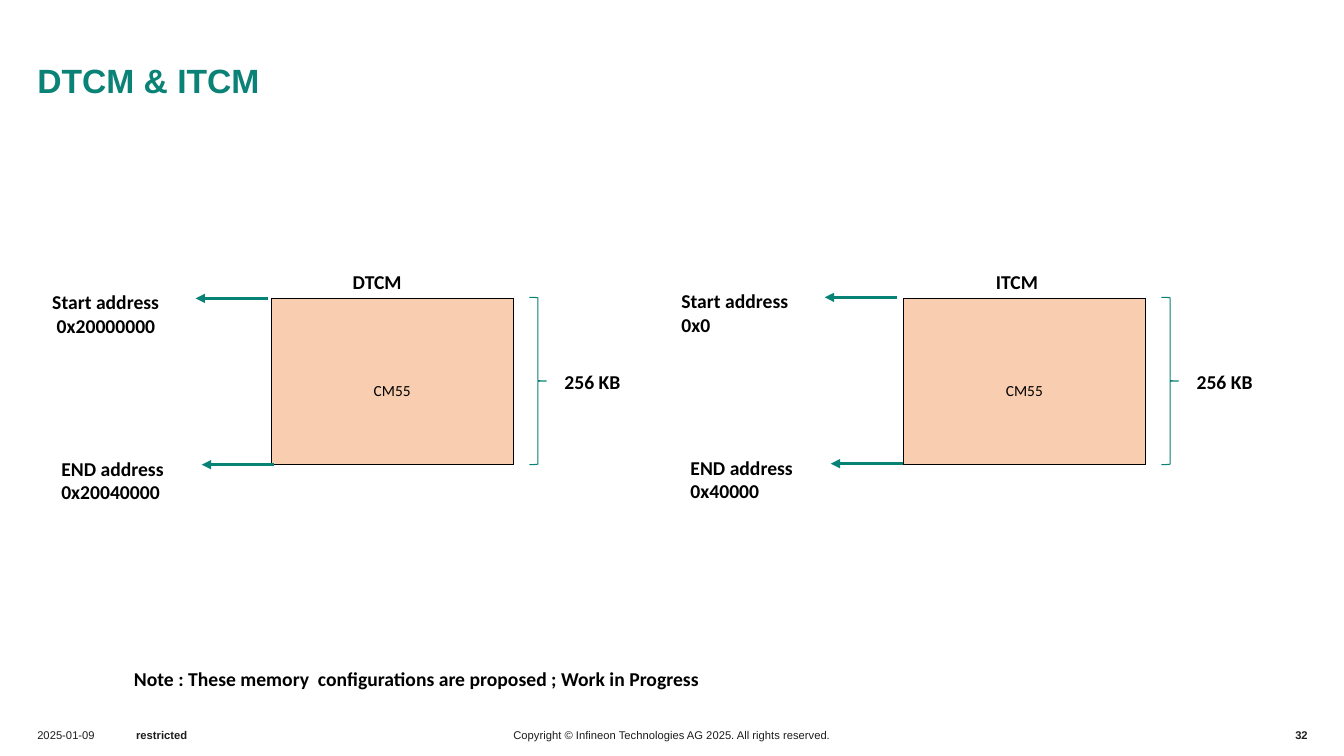
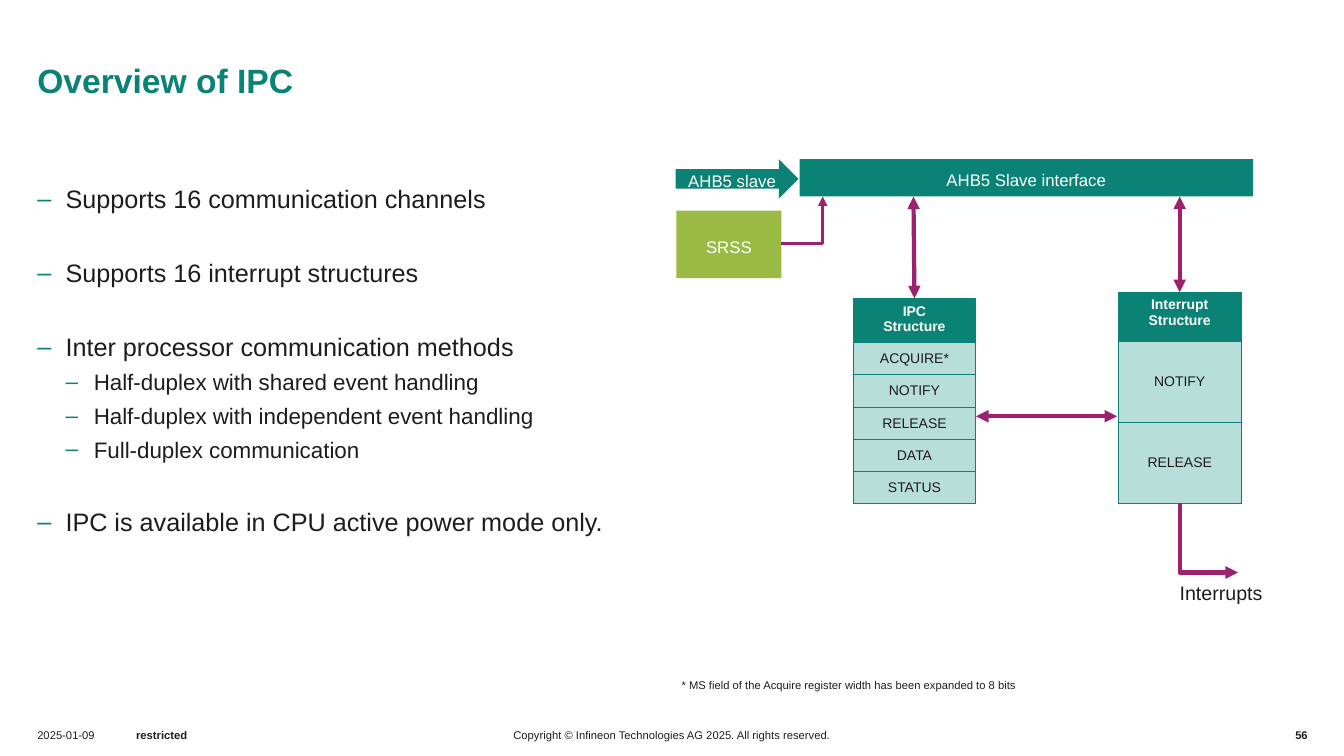
from lxml.etree import SubElement
from pptx import Presentation
from pptx.dml.color import RGBColor
from pptx.enum.shapes import MSO_CONNECTOR, MSO_SHAPE
from pptx.enum.text import MSO_ANCHOR, MSO_AUTO_SIZE, PP_ALIGN
from pptx.oxml.ns import qn
from pptx.util import Inches, Pt

COLORS = {
    "teal": "0A8276",
    "line": "078276",
    "mint": "B8DEDA",
    "peach": "F9CDB0",
    "green": "9BBA43",
    "magenta": "9C216E",
    "ink": "1D1D1D",
    "black": "000000",
    "white": "FFFFFF",
}
FOOTERS = [
    ("2025-01-09", 0.37, 0.67, PP_ALIGN.LEFT, False),
    ("restricted", 1.35, 1.06, PP_ALIGN.LEFT, True),
    ("Copyright © Infineon Technologies AG 2025. All rights reserved.",
     4.97, 3.39, PP_ALIGN.CENTER, False),
]
METHODS = [
    ("Supports 16 communication channels", 0, 0),
    ("Supports 16 interrupt structures", 0, 27),
    ("Inter processor communication methods", 0, 27),
    ("Half-duplex with shared event handling", 1, 1),
    ("Half-duplex with independent event handling", 1, 1),
    ("Full-duplex communication", 1, 1),
    ("IPC is available in CPU active power mode only.", 0, 27),
]


def rgb(color):
    """Return the named palette colour."""
    return RGBColor.from_string(COLORS[color])


def inches(*lengths):
    """Convert several lengths to Inches."""
    return [Inches(length) for length in lengths]


def style(paragraph, size, color="ink", bold=False, face="Arial", align=PP_ALIGN.LEFT, spacing=None):
    """Set the font, alignment and line spacing of a paragraph."""
    paragraph.alignment = align
    if spacing:
        paragraph.line_spacing = spacing
    font = paragraph.font
    font.name, font.size, font.bold = face, Pt(size), bold
    font.color.rgb = rgb(color)


def set_margins(target, left=0, top=0, right=0, bottom=0):
    """Set the inner margins of a text frame or a cell."""
    (target.margin_left, target.margin_top,
     target.margin_right, target.margin_bottom) = inches(left, top, right, bottom)


def place(shape, left, top, width, height):
    """Move and size a shape."""
    shape.left, shape.top, shape.width, shape.height = inches(left, top, width, height)


def add_label(slide, lines, left, top, width, height, size, flush=True, anchor=MSO_ANCHOR.TOP, **look):
    """Add a text box with one paragraph per line."""
    frame = slide.shapes.add_textbox(*inches(left, top, width, height)).text_frame
    frame.word_wrap = True
    frame.vertical_anchor = anchor
    if flush:
        set_margins(frame)
    frame.text = lines
    for paragraph in frame.paragraphs:
        style(paragraph, size, **look)


def add_memory_label(slide, lines, left, top, width=2.17):
    """Add a bold label of the memory map."""
    height = 0.34 + 0.23 * lines.count("\n")
    add_label(slide, lines, left, top, width, height, 14, flush=False,
              color="black", bold=True, face="Calibri")


def add_block(slide, preset, text, left, top, width, height, color):
    """Add a filled block with centred white text."""
    block = slide.shapes.add_shape(preset, *inches(left, top, width, height))
    block.shadow.inherit = False
    block.fill.solid()
    block.fill.fore_color.rgb = rgb(color)
    block.line.fill.background()
    frame = block.text_frame
    frame.word_wrap = True
    frame.vertical_anchor = MSO_ANCHOR.MIDDLE
    set_margins(frame, 0.08, 0.08, 0.08, 0.08)
    frame.text = text
    style(frame.paragraphs[0], 12, "white", align=PP_ALIGN.CENTER, spacing=1.2)


def add_arrow(slide, start, end, color="magenta", weight=3, heads=("tailEnd",), bent=False):
    """Add a straight or one-bend arrow."""
    kind = MSO_CONNECTOR.ELBOW if bent else MSO_CONNECTOR.STRAIGHT
    arrow = slide.shapes.add_connector(kind, *inches(*start, *end))
    arrow.line.color.rgb = rgb(color)
    arrow.line.width = Pt(weight)
    properties = arrow._element.spPr
    if bent:
        properties.find(qn("a:prstGeom")).set("prst", "bentConnector2")
    for head in heads:
        SubElement(properties.find(qn("a:ln")), qn(f"a:{head}"), type="triangle")
    SubElement(properties, qn("a:effectLst"))


def format_cell(cell, text, fill, border, weight, anchor=MSO_ANCHOR.MIDDLE, **look):
    """Fill, outline and letter a table cell."""
    properties = cell._tc.get_or_add_tcPr()
    for side in "LRTB":
        edge = SubElement(properties, qn(f"a:ln{side}"), w=str(Pt(weight)))
        paint = SubElement(edge, qn("a:solidFill"))
        SubElement(paint, qn("a:srgbClr"), val=COLORS[border])
    cell.fill.solid()
    cell.fill.fore_color.rgb = rgb(fill)
    cell.vertical_anchor = anchor
    cell.text = text
    for paragraph in cell.text_frame.paragraphs:
        style(paragraph, align=PP_ALIGN.CENTER, **look)


def add_column(slide, left, top, width, heights):
    """Add a one-column table and return its cells."""
    table = slide.shapes.add_table(
        len(heights), 1, *inches(left, top, width, sum(heights))).table
    table.horz_banding = False
    table.columns[0].width = Inches(width)
    for row, height in zip(table.rows, heights):
        row.height = Inches(height)
    return [row.cells[0] for row in table.rows]


def add_register_table(slide, heading, registers, left, top, heading_height, row_height):
    """Add a structure table with a heading and its registers."""
    heights = [heading_height] + [row_height] * len(registers)
    heading_cell, *register_cells = add_column(slide, left, top, 1.22, heights)
    format_cell(heading_cell, heading, "teal", "line", 0.75, MSO_ANCHOR.TOP,
                size=10, color="white", bold=True)
    for cell, register in zip(register_cells, registers):
        format_cell(cell, register, "mint", "line", 0.75, size=10)


def add_memory(slide, heading, start, end, box_left, heading_left, label_left, top):
    """Draw a memory block with its addresses and size."""
    [core] = add_column(slide, box_left, 2.96, 2.4, [1.65])
    format_cell(core, "CM55", "peach", "black", 1, size=11, color="black", face="Calibri")
    set_margins(core, 0.01, 0.2, 0.01, 0)
    add_memory_label(slide, heading, heading_left, 2.63)
    brace = slide.shapes.add_shape(
        MSO_SHAPE.RIGHT_BRACE, *inches(box_left + 2.56, 2.95, 0.17, 1.66))
    brace.adjustments[0] = 0.03
    brace.shadow.inherit = False
    brace.fill.background()
    brace.line.color.rgb = rgb("line")
    brace.line.width = Pt(0.75)
    add_memory_label(slide, "256 KB", box_left + 2.81, 3.62, 1.13)
    addresses = [("Start address", start, 0, top, 1.52),
                 ("END address", end, 0.09, top + 1.65, 1.58)]
    for name, address, indent, arrow_top, arrow_offset in addresses:
        add_memory_label(slide, f"{name}\n{address}", label_left + indent, arrow_top - 0.13)
        tip = label_left + arrow_offset
        add_arrow(slide, (tip + 0.72, arrow_top), (tip, arrow_top), "line", 2.25)


def add_titled_slide(deck, layout, title, number):
    """Add a slide with the shared title and footer."""
    slide = deck.slides.add_slide(deck.slide_layouts[layout])
    heading = slide.shapes.title
    place(heading, 0.37, 0.21, 10.51, 0.79)
    frame = heading.text_frame
    frame.text = title
    frame.auto_size = MSO_AUTO_SIZE.NONE
    frame.vertical_anchor = MSO_ANCHOR.BOTTOM
    set_margins(frame, bottom=0.01)
    style(frame.paragraphs[0], 24, "teal", bold=True)
    for text, left, width, align, bold in FOOTERS + [(number, 12.55, 0.42, PP_ALIGN.RIGHT, True)]:
        add_label(slide, text, left, 7.1, width, 0.39, 8,
                  anchor=MSO_ANCHOR.MIDDLE, bold=bold, align=align)
    return slide


def fill_list(body, entries):
    """Fill the body placeholder with a two-level dashed list."""
    place(body, 0.37, 1.76, 12.6, 5.22)
    frame = body.text_frame
    frame.auto_size = MSO_AUTO_SIZE.NONE
    frame.vertical_anchor = MSO_ANCHOR.TOP
    set_margins(frame)
    frame.text = "\n".join(text for text, _, _ in entries)
    for paragraph, (_, level, before) in zip(frame.paragraphs, entries):
        paragraph.level = level
        paragraph.space_before = Pt(before)
        paragraph.space_after = Pt(0)
        paragraph.line_spacing = 1.2
        properties = paragraph._p.get_or_add_pPr()
        properties.set("marL", str(Inches(0.28 * (level + 1))))
        properties.set("indent", str(Inches(-0.28)))
        SubElement(SubElement(properties, qn("a:buClr")), qn("a:srgbClr"), val=COLORS["teal"])
        SubElement(properties, qn("a:buFont"), typeface="Arial")
        SubElement(properties, qn("a:buChar"), char="‒")
        style(paragraph, 18 - 2 * level)


def build_memory_slide(deck):
    """Build the slide on tightly coupled memories."""
    slide = add_titled_slide(deck, 5, "DTCM & ITCM", "32")
    add_memory(slide, "DTCM", " 0x20000000", "0x20040000", 2.69, 3.4, 0.42, 2.96)
    add_memory(slide, "ITCM", "0x0", "0x40000", 8.96, 9.78, 6.66, 2.95)
    add_memory_label(
        slide, "Note : These memory  configurations are proposed ; Work in Progress", 1.23, 6.57, 9.02)


def build_ipc_slide(deck):
    """Build the slide on inter-processor communication."""
    slide = add_titled_slide(deck, 1, "Overview of IPC", "56")
    fill_list(slide.placeholders[1], METHODS)
    add_block(slide, MSO_SHAPE.RIGHT_ARROW, "AHB5 slave", 6.7, 1.58, 1.22, 0.39, "teal")
    add_block(slide, MSO_SHAPE.RECTANGLE, "AHB5 Slave interface", 7.93, 1.58, 4.5, 0.37, "teal")
    add_block(slide, MSO_SHAPE.RECTANGLE, "SRSS", 6.71, 2.09, 1.04, 0.67, "green")
    add_register_table(slide, "IPC\nStructure", ["ACQUIRE*", "NOTIFY", "RELEASE", "DATA", "STATUS"],
                       8.46, 2.96, 0.44, 0.32)
    add_register_table(slide, "Interrupt Structure", ["NOTIFY", "RELEASE"], 11.09, 2.9, 0.49, 0.8)
    both = ("headEnd", "tailEnd")
    for start, end in [((9.07, 2.96), (9.06, 1.95)),
                       ((9.68, 4.13), (11.08, 4.13)),
                       ((11.7, 2.9), (11.7, 1.95))]:
        add_arrow(slide, start, end, heads=both)
    add_arrow(slide, (7.75, 2.42), (8.16, 1.95), weight=2.25, bent=True)
    add_arrow(slide, (12.28, 5.68), (11.7, 4.99), heads=("headEnd",), bent=True)
    add_label(slide, "Interrupts", 11.7, 5.72, 0.9, 0.26, 14, spacing=1.2)
    add_label(slide, "* MS field of the Acquire register width has been expanded to 8 bits",
              6.76, 6.7, 3.7, 0.15, 8, spacing=1.2)


def main():
    """Build and save the presentation."""
    deck = Presentation()
    deck.slide_width, deck.slide_height = inches(13.33, 7.5)
    build_memory_slide(deck)
    build_ipc_slide(deck)
    deck.save("out.pptx")


if __name__ == "__main__":
    main()
